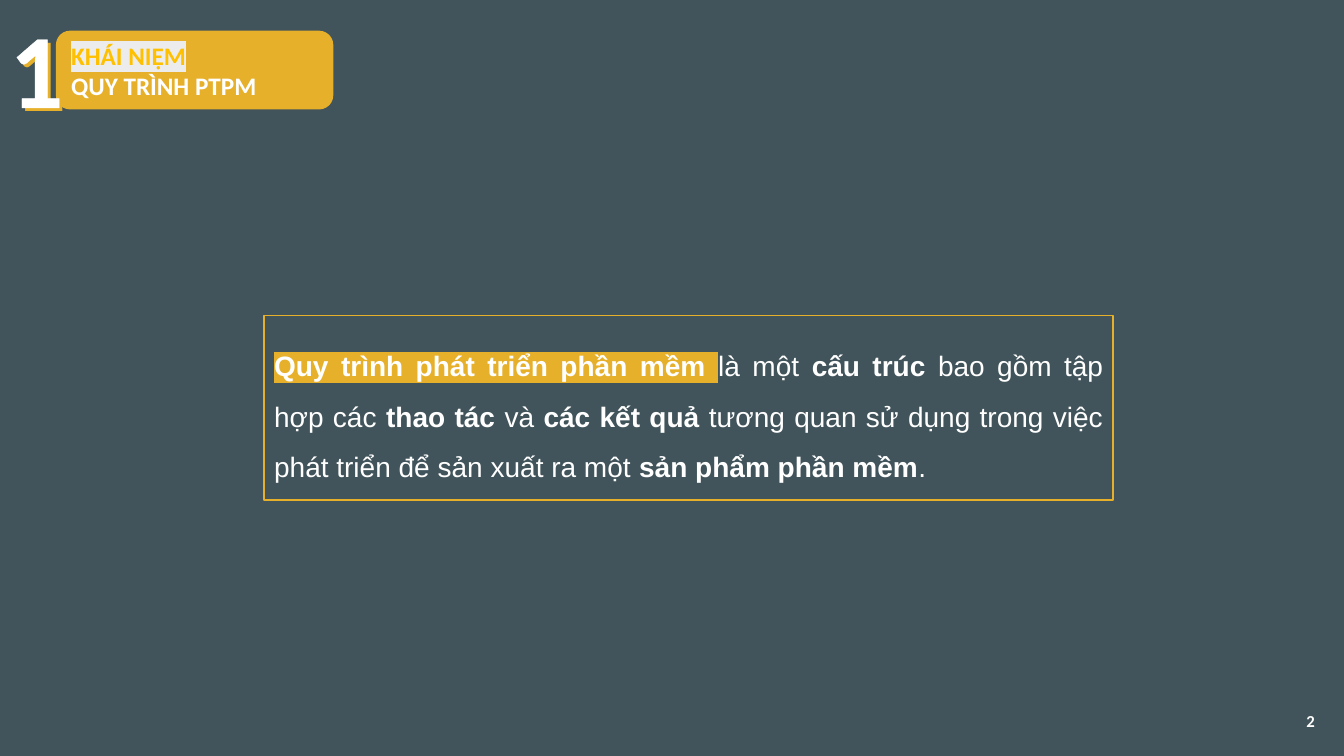
"""Builds the slide that defines the software development process."""
from lxml.etree import SubElement
from pptx import Presentation
from pptx.dml.color import RGBColor
from pptx.enum.shapes import MSO_SHAPE
from pptx.enum.text import MSO_ANCHOR, MSO_AUTO_SIZE, PP_ALIGN
from pptx.oxml.ns import qn
from pptx.util import Inches, Pt

GOLD, WHITE = "E6B02A", "FFFFFF"


def color(value):
    return RGBColor.from_string(value)


def style(span, size, name, ink, bold=True, highlight=None):
    span.font.size = Pt(size)
    span.font.bold = bold
    span.font.color.rgb = color(ink)
    if highlight:
        mark = SubElement(span.font._element, qn("a:highlight"))
        SubElement(mark, qn("a:srgbClr"), val=highlight)
    span.font.name = name


deck = Presentation()
deck.slide_width, deck.slide_height = Inches(13.33), Inches(7.5)
page = deck.slides.add_slide(deck.slide_layouts[6])
page.background.fill.solid()
page.background.fill.fore_color.rgb = color("41545B")

banner = page.shapes.add_shape(
    MSO_SHAPE.ROUNDED_RECTANGLE, Inches(0.57), Inches(0.32), Inches(2.72), Inches(0.75))
banner.shadow.inherit = False
banner.fill.solid()
banner.fill.fore_color.rgb = color(GOLD)
banner.line.color.rgb = color(GOLD)
banner.line.width = Pt(2.25)
banner.text_frame.text = "KHÁI NIỆM\nQUY TRÌNH PTPM"
banner.text_frame.vertical_anchor = MSO_ANCHOR.MIDDLE
for para, ink, highlight in zip(
        banner.text_frame.paragraphs, ("FFC000", WHITE), ("ECECEC", None)):
    para.alignment = PP_ALIGN.LEFT
    style(para.runs[0], 18, "Calibri", ink, highlight=highlight)

for left, top, width, ink in ((0.04, 0.02, 0.54, GOLD), (0, -0.02, 0.64, WHITE)):
    numeral = page.shapes.add_textbox(Inches(left), Inches(top), Inches(width), Inches(1.36))
    numeral.text_frame.word_wrap = True
    numeral.text_frame.auto_size = MSO_AUTO_SIZE.SHAPE_TO_FIT_TEXT
    numeral.text_frame.text = "1"
    span = numeral.text_frame.paragraphs[0].runs[0]
    style(span, 75, "Calibri", ink)
    if ink == WHITE:
        outline = SubElement(span.font._element, qn("a:ln"), w=str(int(Pt(0.75))))
        SubElement(SubElement(outline, qn("a:solidFill")), qn("a:srgbClr"), val=WHITE)
        span.font._element.insert(0, outline)

number = page.shapes.add_textbox(Inches(10.14), Inches(6.95), Inches(3), Inches(0.4))
number.text_frame.word_wrap = True
number.text_frame.vertical_anchor = MSO_ANCHOR.MIDDLE
number.text_frame.text = "2"
number.text_frame.paragraphs[0].alignment = PP_ALIGN.RIGHT
style(number.text_frame.paragraphs[0].runs[0], 12, "Calibri", WHITE)

definition = page.shapes.add_shape(
    MSO_SHAPE.RECTANGLE, Inches(2.62), Inches(3.13), Inches(8.42), Inches(1.83))
definition.shadow.inherit = False
definition.fill.background()
definition.line.color.rgb = color(GOLD)
definition.line.width = Pt(1)
definition.text_frame.word_wrap = True
definition.text_frame.vertical_anchor = MSO_ANCHOR.MIDDLE
para = definition.text_frame.paragraphs[0]
para.alignment = PP_ALIGN.JUSTIFY
para.line_spacing = 1.5
phrases = (
    "Quy trình phát triển phần mềm ", "là một ", "cấu trúc ", "bao gồm tập hợp các ",
    "thao tác ", "và ", "các kết quả ",
    "tương quan sử dụng trong việc phát triển để sản xuất ra một ",
    "sản phẩm phần mềm", ".")
for index, phrase in enumerate(phrases):
    span = para.add_run()
    span.text = phrase
    style(span, 20, "Arial", WHITE, index % 2 == 0, GOLD if index == 0 else None)

deck.save("out.pptx")
